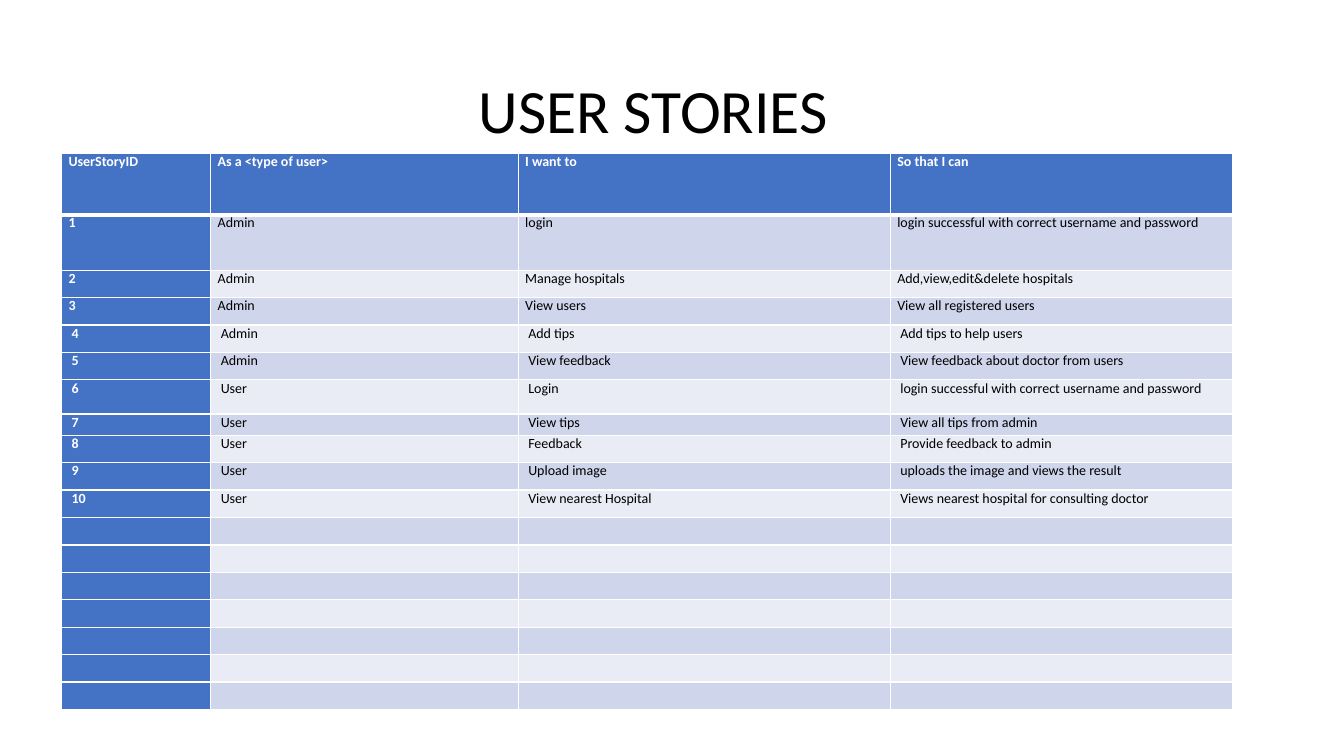
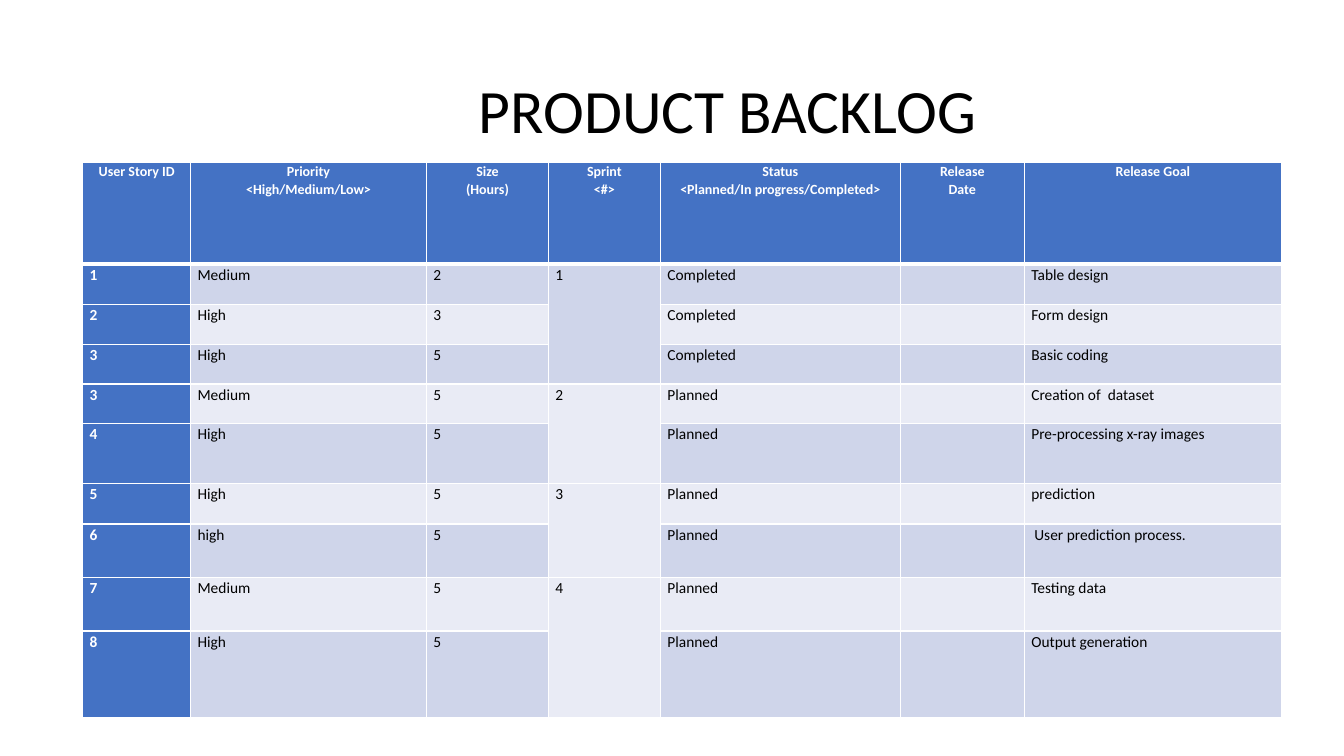
"""Builds the user story and product backlog slides."""
from lxml import etree
from pptx import Presentation
from pptx.dml.color import RGBColor
from pptx.enum.text import MSO_ANCHOR, PP_ALIGN
from pptx.oxml.ns import qn
from pptx.util import Inches, Pt

MIDDLE = MSO_ANCHOR.MIDDLE
LEFT, CENTER, JUSTIFY = PP_ALIGN.LEFT, PP_ALIGN.CENTER, PP_ALIGN.JUSTIFY

BLUE = RGBColor(0x44, 0x72, 0xC4)
BAND_DARK = RGBColor(0xCF, 0xD5, 0xEA)
BAND_LIGHT = RGBColor(0xE9, 0xEB, 0xF5)
WHITE = RGBColor(0xFF, 0xFF, 0xFF)
BLACK = RGBColor(0x00, 0x00, 0x00)

FONT = "Calibri"
SLIDE_W, SLIDE_H = 13.33, 7.5
TITLE_BOX = (4.65, 0.4, 7.77, 1.45)
INSET, INDENTED = 0.07, 0.1
THIN, THICK = 1, 3

STORY_HEADS = ["UserStoryID", "As a <type of user>", "I want to", "So that I can"]
STORIES = [
    ("Admin", "login", "login successful with correct username and password"),
    ("Admin", "Manage hospitals", "Add,view,edit&delete hospitals"),
    ("Admin", "View users", "View all registered users"),
    ("Admin", "Add tips", "Add tips to help users"),
    ("Admin", "View feedback", "View feedback about doctor from users"),
    ("User", "Login", "login successful with correct username and password"),
    ("User", "View tips", "View all tips from admin"),
    ("User", "Feedback", "Provide feedback to admin"),
    ("User", "Upload image", "uploads the image and views the result"),
    ("User", "View nearest Hospital", "Views nearest hospital for consulting doctor"),
]
STORY_COLS = [1.48, 3.05, 3.69, 3.4]
STORY_HEIGHT = 5.52
STORY_ROWS = 18
STORY_ODD_ROWS = {0: 0.61, 1: 0.55, 6: 0.34, 7: 0.21}
STORY_INDENTED_FROM = 4

BACKLOG_HEADS = [
    "User Story ID", "Priority\n<High/Medium/Low>", "Size\n(Hours)", "Sprint\n<#>",
    "Status\n<Planned/In progress/Completed>", "Release\nDate", "Release Goal",
]
BACKLOG = [
    ("1", "Medium", "2", "1", "Completed", "", "Table design"),
    ("2", "High", "3", "", "Completed", "", "Form design"),
    ("3", "High", "5", "", "Completed", "", "Basic coding"),
    ("3", "Medium", "5", "2", "Planned", "", "Creation of  dataset"),
    ("4", "High", "5", "", "Planned", "", "Pre-processing x-ray images"),
    ("5", "High", "5", "3", "Planned", "", "prediction"),
    ("6", "high", "5", "", "Planned", "", "User prediction process."),
    ("7", "Medium", "5", "4", "Planned", "", "Testing data"),
    ("8", "High", "5", "", "Planned", "", "Output generation"),
]
BACKLOG_COLS = [1.07, 2.34, 1.21, 1.11, 2.38, 1.23, 2.55]
BACKLOG_HEIGHTS = [1.01, 0.4, 0.4, 0.39, 0.39, 0.6, 0.4, 0.53, 0.53, 0.86]
SPRINT_COL = 3
BACKLOG_INDENTED = {(7, 6)}


def set_font(font, **values):
    """Apply a dict of format values, plus the shared typeface."""
    font.color.rgb = values.pop("color")
    for name, value in {"name": FONT, **values}.items():
        setattr(font, name, value)


def add_title(s, text):
    """Add the slide's heading."""
    tf = s.shapes.add_textbox(*map(Inches, TITLE_BOX)).text_frame
    tf.word_wrap = True
    tf.vertical_anchor = MIDDLE
    p = tf.paragraphs[0]
    p.line_spacing = 0.9
    r = p.add_run()
    r.text = text
    set_font(r.font, size=Pt(44), color=BLACK, bold=False)


def set_borders(cell, **widths):
    """Draw white borders on a cell, with widths in points by side."""
    tc_pr = cell._tc.get_or_add_tcPr()
    for side in "LRTB":
        width = Pt(widths.get(side, THIN))
        line = etree.SubElement(tc_pr, qn(f"a:ln{side}"), w=str(width))
        fill = etree.SubElement(line, qn("a:solidFill"))
        etree.SubElement(fill, qn("a:srgbClr"), val=str(WHITE))


def fill_cell(cell, text, row, col, size, align, spacing, indented):
    """Write and format one table cell according to its place."""
    accent = row == 0 or col == 0
    set_borders(cell, **{0: {"B": THICK}, 1: {"T": THICK}}.get(row, {}))
    cell.fill.solid()
    cell.fill.fore_color.rgb = BLUE if accent else BAND_DARK if row % 2 else BAND_LIGHT
    margins = {"left": INDENTED if indented else INSET, "right": INSET, "top": 0, "bottom": 0}
    for side, value in margins.items():
        setattr(cell, f"margin_{side}", Inches(value))
    cell.text = text
    for p in cell.text_frame.paragraphs:
        p.alignment = align
        p.line_spacing = spacing
        for r in p.runs:
            set_font(r.font, size=Pt(size), color=WHITE if accent else BLACK, bold=accent)
        if not p.runs:
            p._p.get_or_add_endParaRPr().set("sz", str(size * 100))


def add_grid(s, left, top, cols, heights, rows, head_align, body_align, body_size,
             spacing, indented):
    """Add a banded table with a blue first row and first column."""
    frame = s.shapes.add_table(len(heights), len(cols), Inches(left), Inches(top),
                               Inches(sum(cols)), Inches(sum(heights)))
    table = frame.table
    table.horz_banding = False
    for column, width in zip(table.columns, cols):
        column.width = Inches(width)
    for table_row, height in zip(table.rows, heights):
        table_row.height = Inches(height)
    for i, texts in enumerate(rows):
        size, align = (body_size, body_align) if i else (10, head_align)
        for j, text in enumerate(texts):
            fill_cell(table.cell(i, j), text, i, j, size, align, spacing, (i, j) in indented)
    return table


def merge_sprints(table):
    """Join each sprint's cell with the empty ones below it."""
    starts = [i for i, item in enumerate(BACKLOG, 1) if item[SPRINT_COL]]
    for first, following in zip(starts, starts[1:] + [len(BACKLOG) + 1]):
        table.cell(first, SPRINT_COL).merge(table.cell(following - 1, SPRINT_COL))


def add_user_stories(s):
    """Build the user stories slide."""
    add_title(s, "USER STORIES")
    regular = (STORY_HEIGHT - sum(STORY_ODD_ROWS.values())) / (STORY_ROWS - len(STORY_ODD_ROWS))
    heights = [STORY_ODD_ROWS.get(i, regular) for i in range(STORY_ROWS)]
    rows = [STORY_HEADS] + [(str(i), *story) for i, story in enumerate(STORIES, 1)]
    rows += [[""] * len(STORY_COLS)] * (STORY_ROWS - len(rows))
    indented = {(i, j) for i in range(STORY_INDENTED_FROM, STORY_ROWS)
                for j in range(len(STORY_COLS))}
    add_grid(s, 0.61, 1.52, STORY_COLS, heights, rows, JUSTIFY, JUSTIFY, 10, 1.0, indented)


def add_backlog(s):
    """Build the product backlog slide."""
    add_title(s, "PRODUCT BACKLOG")
    table = add_grid(s, 0.82, 1.61, BACKLOG_COLS, BACKLOG_HEIGHTS, [BACKLOG_HEADS] + BACKLOG,
                     CENTER, LEFT, 11, 1.07, BACKLOG_INDENTED)
    merge_sprints(table)


def main():
    """Build and save the presentation."""
    prs = Presentation()
    prs.slide_width, prs.slide_height = Inches(SLIDE_W), Inches(SLIDE_H)
    blank = prs.slide_layouts[6]
    for build in (add_user_stories, add_backlog):
        build(prs.slides.add_slide(blank))
    prs.save("out.pptx")


if __name__ == "__main__":
    main()
